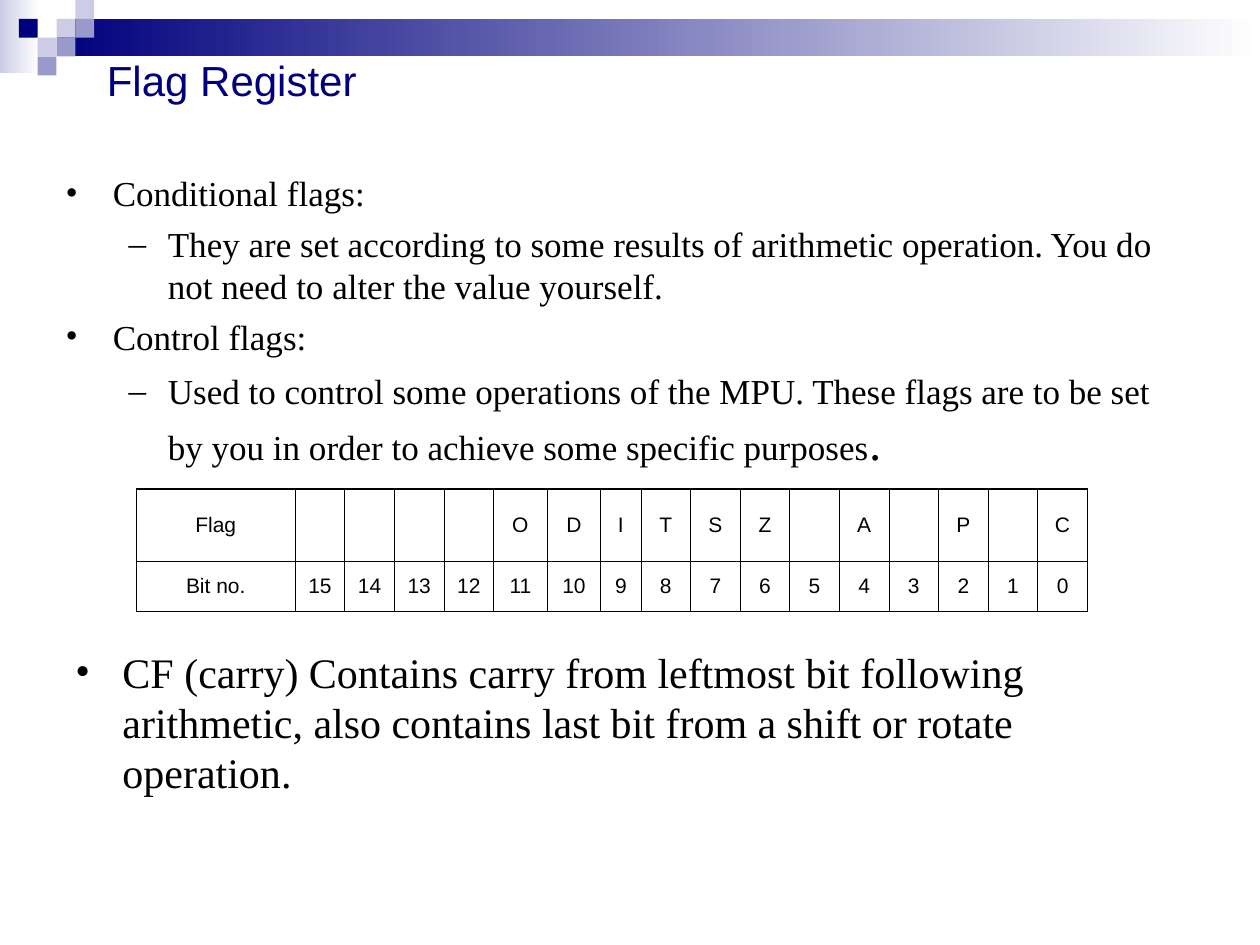
from lxml import etree
from pptx import Presentation
from pptx import util as u
from pptx.dml import color
from pptx.enum import shapes, text
from pptx.oxml import ns

COLORS = {"navy": "00007D", "lilac": "9999CC", "pale": "CCCCE6", "white": "FFFFFF", "black": "000000"}
STEP = 0.38
SQUARES = [
    (3, 1, "pale"), (4, 0, "pale"), (4, 1, "lilac"), (2, 2, "pale"),
    (1, 1, "navy"), (3, 2, "lilac"), (2, 3, "lilac"),
]
BULLETS = [("•", 0.95, 0.95), ("–", 2.06, 0.79)]
FLAGS = ["Flag", *[""] * 4, *"ODITSZ", "", "A", "", "P", "", "C"]
BITS = ["Bit no.", *[str(bit) for bit in range(15, -1, -1)]]
COLUMN_WIDTHS = [3.2] + [1] * 4 + [1.08, 1.08, 0.81] + [1] * 9
ROW_HEIGHTS = [1.45, 1.02]


def rgb(name):
    return color.RGBColor.from_string(COLORS[name])


class SlideBuilder:
    heading_font = "Arial"
    body_font = "Times New Roman"
    thin, thick = 0.45, 1.08

    def __init__(self, slide):
        self.slide = slide

    def place(self, shape, left, top, width, height):
        shape.left, shape.top = u.Cm(left), u.Cm(top)
        shape.width, shape.height = u.Cm(width), u.Cm(height)
        shape.element.getparent().append(shape.element)
        shape.text_frame.word_wrap = True
        shape.text_frame.auto_size = text.MSO_AUTO_SIZE.NONE
        return shape.text_frame

    def format_run(self, run, size, font, color_name="black"):
        run.font.size = u.Pt(size)
        run.font.name = font
        run.font.color.rgb = rgb(color_name)

    def rectangle(self, left, top, width, height, *fill_names):
        shape = self.slide.shapes.add_shape(
            shapes.MSO_SHAPE.RECTANGLE, u.Cm(left), u.Cm(top), u.Cm(width), u.Cm(height))
        shape.shadow.inherit = False
        shape.line.fill.background()
        if len(fill_names) == 1:
            shape.fill.solid()
            shape.fill.fore_color.rgb = rgb(fill_names[0])
            return
        shape.fill.gradient()
        shape.fill.gradient_angle = 0
        for stop, name, position in zip(shape.fill.gradient_stops, fill_names, (0, 1)):
            stop.color.rgb = rgb(name)
            stop.position = position

    def title(self, wording, *box):
        frame = self.place(self.slide.shapes.title, *box)
        frame.text = wording
        frame.vertical_anchor = text.MSO_ANCHOR.MIDDLE
        paragraph = frame.paragraphs[0]
        paragraph.alignment = text.PP_ALIGN.LEFT
        self.format_run(paragraph.runs[0], 24, self.heading_font, "navy")

    def bullet(self, paragraph, level):
        character, margin, hanging = BULLETS[level]
        paragraph.level = level
        properties = paragraph._p.get_or_add_pPr()
        properties.set("marL", str(u.Cm(margin)))
        properties.set("indent", str(-u.Cm(hanging)))
        bullet_color = etree.SubElement(properties, ns.qn("a:buClr"))
        etree.SubElement(bullet_color, ns.qn("a:srgbClr"), val=COLORS["black"])
        etree.SubElement(properties, ns.qn("a:buFont"), typeface=self.body_font)
        etree.SubElement(properties, ns.qn("a:buChar"), char=character)

    def bullet_list(self, shape, items, size, *box):
        frame = self.place(shape, *box)
        frame.vertical_anchor = text.MSO_ANCHOR.TOP
        frame.text = "\n".join(wording for level, wording, space in items)
        for paragraph, (level, wording, space) in zip(frame.paragraphs, items):
            self.bullet(paragraph, level)
            paragraph.alignment = text.PP_ALIGN.LEFT
            paragraph.space_before = u.Pt(space)
            self.format_run(paragraph.runs[0], size, self.body_font)
        return frame

    def border(self, cell, side, width):
        line = etree.SubElement(cell._tc.get_or_add_tcPr(), ns.qn(f"a:ln{side}"), w=str(u.Pt(width)))
        fill = etree.SubElement(line, ns.qn("a:solidFill"))
        etree.SubElement(fill, ns.qn("a:srgbClr"), val=COLORS["black"])

    def table(self, rows, left, top):
        last_row, last_column = len(rows) - 1, len(rows[0]) - 1
        table = self.slide.shapes.add_table(
            len(rows), len(rows[0]), u.Cm(left), u.Cm(top),
            u.Cm(sum(COLUMN_WIDTHS)), u.Cm(sum(ROW_HEIGHTS))).table
        table.first_row = table.horz_banding = False
        for column, width in zip(table.columns, COLUMN_WIDTHS):
            column.width = u.Cm(width)
        for row, height in zip(table.rows, ROW_HEIGHTS):
            row.height = u.Cm(height)
        for row_index, row in enumerate(rows):
            for column_index, wording in enumerate(row):
                cell = table.cell(row_index, column_index)
                outer = {
                    "L": column_index == 0, "R": column_index == last_column,
                    "T": row_index == 0, "B": row_index == last_row,
                }
                for side, is_outer in outer.items():
                    self.border(cell, side, self.thick if is_outer else self.thin)
                cell.fill.background()
                cell.vertical_anchor = text.MSO_ANCHOR.MIDDLE
                cell.text_frame.text = wording
                paragraph = cell.text_frame.paragraphs[0]
                paragraph.alignment = text.PP_ALIGN.CENTER
                for run in paragraph.runs:
                    self.format_run(run, 12, self.heading_font)


def main():
    presentation = Presentation()
    presentation.slide_width, presentation.slide_height = u.Cm(25.4), u.Cm(19.05)
    slide = presentation.slides.add_slide(presentation.slide_layouts[1])
    builder = SlideBuilder(slide)

    builder.rectangle(0, 0, 0.79, 1.47, "pale", "white")
    builder.rectangle(3 * STEP, STEP, 25.4 - 3 * STEP, 2 * STEP, "navy", "white")
    for column, row, name in SQUARES:
        builder.rectangle(column * STEP, row * STEP, STEP, STEP, name)

    carry_box = slide.shapes.add_textbox(0, 0, 0, 0)
    builder.bullet_list(carry_box, [
        (0, "CF (carry) Contains carry from leftmost bit following arithmetic, "
            "also contains last bit from a shift or rotate operation.", 0),
    ], 24, 1.27, 12.9, 21.59, 3.61)
    builder.title("Flag Register", 1.9, 0.91, 21.59, 1.4)
    builder.table([FLAGS, BITS], 2.75, 9.86)
    frame = builder.bullet_list(slide.placeholders[1], [
        (0, "Conditional flags:", 0),
        (1, "They are set according to some results of arithmetic operation. "
            "You do not need to alter the value yourself.", 5),
        (0, "Control flags:", 5),
        (1, "Used to control some operations of the MPU. These flags are to be set "
            "by you in order to achieve some specific purposes", 7),
    ], 20, 1.07, 3.33, 22.86, 13.39)
    period = frame.paragraphs[-1].add_run()
    period.text = "."
    builder.format_run(period, 28, builder.body_font)

    presentation.save("out.pptx")


if __name__ == "__main__":
    main()
